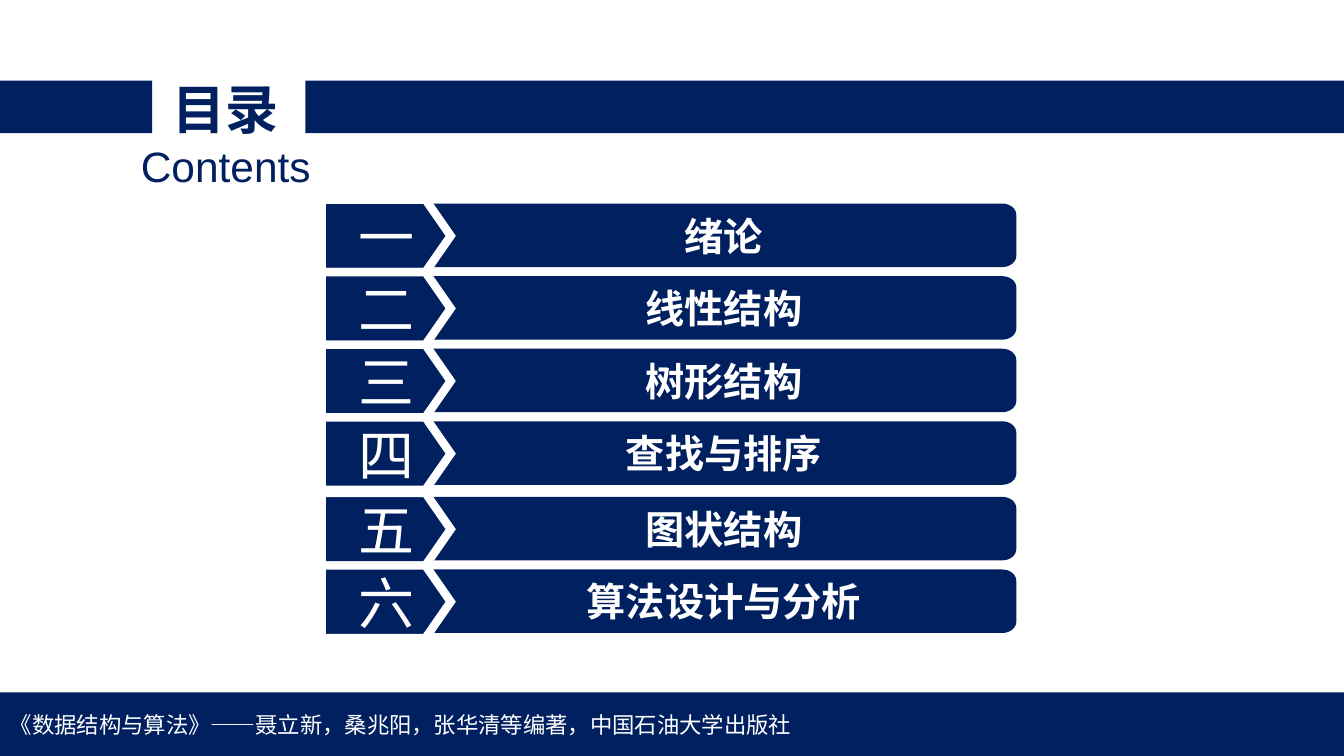
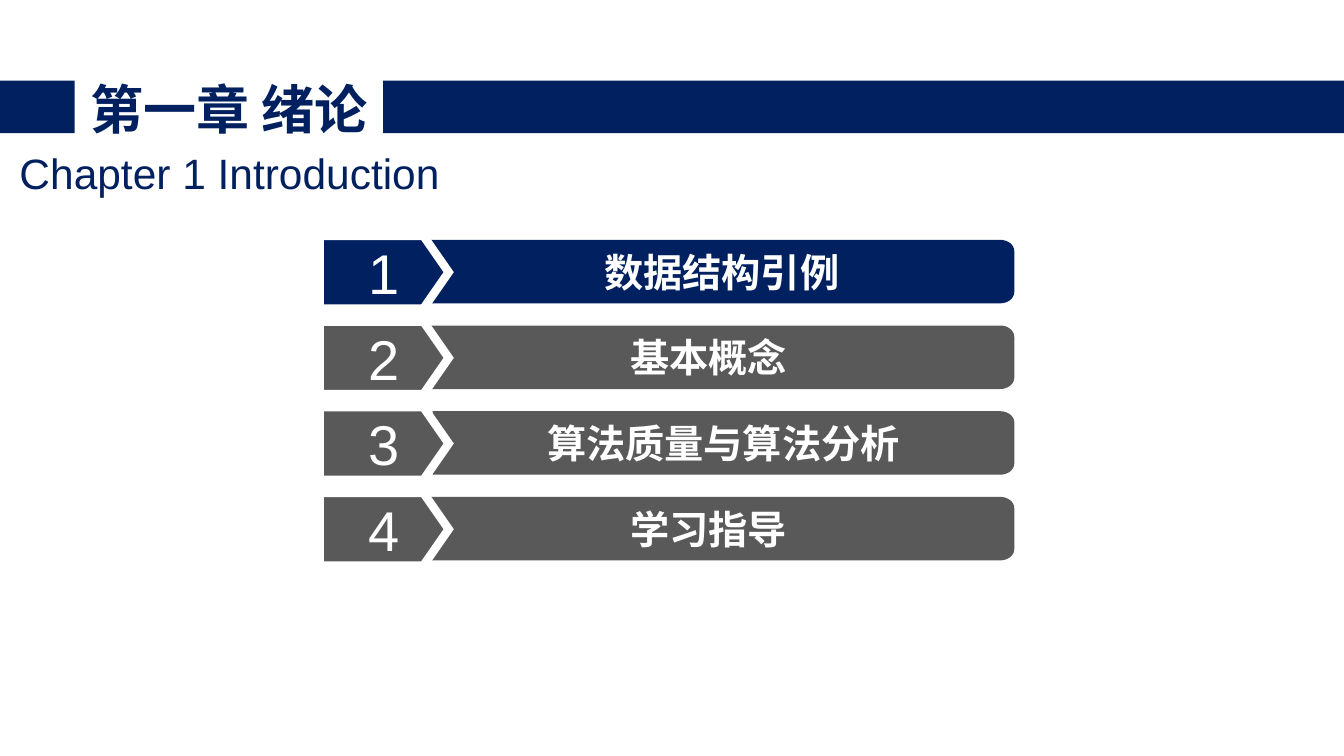
from math import cos, pi, sin

from pptx import Presentation
from pptx.dml.color import RGBColor
from pptx.enum.shapes import MSO_SHAPE as Preset
from pptx.enum.text import MSO_ANCHOR as Anchor, MSO_AUTO_SIZE as AutoSize, PP_ALIGN as Align
from pptx.oxml import parse_xml
from pptx.oxml.ns import nsdecls, qn
from pptx.util import Inches, Pt

WIDTH, HEIGHT = 13.33, 7.5
COLORS = {"navy": "002060", "gray": "595959", "white": "FFFFFF"}
BAND_TOP, BAND_HEIGHT = 0.8, 0.52
TITLE_TOP, TITLE_HEIGHT = 0.75, 0.64
FOOTER_HEIGHT = 0.63
TAG_WIDTH, TAG_HEIGHT, TAG_HEAD = 1.28, 0.72, 0.25
ROW_WIDTH, BAR_HEIGHT, BAR_DROP = 6.89, 0.63, 0.04
CORNER_WIDTH, CORNER_HEIGHT, CORNER_STEPS = 0.14, 0.11, 8


def color(name):
    return RGBColor.from_string(COLORS[name])


def inches(*lengths):
    return [Inches(length) for length in lengths]


def write(shape, text, size, ink="white", bold=False, font="Arial",
          align=Align.CENTER, anchor=Anchor.MIDDLE, insets=(0, 0, 0, 0)):
    """Put one styled run in the shape; insets run left, top, right, bottom."""
    frame = shape.text_frame
    frame.word_wrap = True
    frame.auto_size = AutoSize.NONE
    frame.vertical_anchor = anchor
    (frame.margin_left, frame.margin_top,
     frame.margin_right, frame.margin_bottom) = inches(*insets)
    paragraph = frame.paragraphs[0]
    paragraph.alignment = align
    run = paragraph.add_run()
    run.text = text
    run.font.name, run.font.size, run.font.bold = font, Pt(size), bold
    run.font.color.rgb = color(ink)


def paint(shape, fill):
    shape.shadow.inherit = False
    shape.fill.solid()
    shape.fill.fore_color.rgb = color(fill)
    shape.line.fill.background()
    return shape


def add_band(slide, left, top, width, height):
    return paint(slide.shapes.add_shape(
        Preset.RECTANGLE, *inches(left, top, width, height)), "navy")


def add_header(slide, gap, title, title_box, subtitle, subtitle_box):
    """Split the band at gap, and set title (left, width) and subtitle (left, top, width)."""
    start, end = gap
    add_band(slide, 0, BAND_TOP, start, BAND_HEIGHT)
    add_band(slide, end, BAND_TOP, WIDTH - end, BAND_HEIGHT)
    heading = slide.shapes.title
    heading.left, heading.width = inches(*title_box)
    heading.top, heading.height = inches(TITLE_TOP, TITLE_HEIGHT)
    write(heading, title, 37.9, "navy", bold=True)
    caption = slide.shapes.add_textbox(*inches(*subtitle_box, 0.51))
    write(caption, subtitle, 30.3, "navy", anchor=Anchor.TOP)


def add_footer(slide, text):
    footer = add_band(slide, 0, HEIGHT - FOOTER_HEIGHT, WIDTH, FOOTER_HEIGHT)
    write(footer, text, 16, font="Times New Roman", align=Align.LEFT,
          insets=(0.1, 0.05, 0.1, 0.05))


def add_bar(slide, left, top, right, text, fill):
    """Bar with square corners on the left and rounded ones on the right."""
    bottom = top + BAR_HEIGHT
    turns = [pi / 2 * step / CORNER_STEPS for step in range(CORNER_STEPS + 1)]
    corner = [(right - CORNER_WIDTH * (1 - sin(turn)), CORNER_HEIGHT * (1 - cos(turn)))
              for turn in turns]
    points = [(x, top + y) for x, y in corner]
    points += [(x, bottom - y) for x, y in reversed(corner)]
    points.append((left, bottom))
    builder = slide.shapes.build_freeform(*inches(left, top))
    builder.add_line_segments([inches(*point) for point in points], close=True)
    write(paint(builder.convert_to_shape(), fill), text, 28, bold=True)


def add_tag(slide, left, top, text, fill):
    tag = paint(slide.shapes.add_shape(
        Preset.PENTAGON, *inches(left, top, TAG_WIDTH, TAG_HEIGHT)), fill)
    tag.adjustments[0] = TAG_HEAD / TAG_HEIGHT
    tag.line.color.rgb = color("white")
    tag.line.width = Pt(6)
    outline = tag._element.spPr.find(qn("a:ln"))
    outline.append(parse_xml(f'<a:miter {nsdecls("a")} lim="800000"/>'))
    write(tag, text, 40, insets=(TAG_HEAD / 2, 0, 0, 0))


def add_rows(slide, left, top, pitch, rows):
    """Stack rows of (number, text, fill, bar indent) at an equal pitch."""
    for index, (number, text, fill, indent) in enumerate(rows):
        row_top = top + index * pitch
        add_bar(slide, left + indent, row_top + BAR_DROP, left + ROW_WIDTH, text, fill)
        add_tag(slide, left, row_top, number, fill)


def build_contents(slide):
    add_header(slide, (1.51, 3.03), "目录", (1.65, 1.18), "Contents", (0.89, 1.39, 2.7))
    chapters = ["绪论", "线性结构", "树形结构", "查找与排序", "图状结构", "算法设计与分析"]
    rows = [(number, text, "navy", 1.09) for number, text in zip("一二三四五六", chapters)]
    add_rows(slide, 3.19, 1.98, TAG_HEIGHT, rows[:4])
    add_rows(slide, 3.19, 4.89, TAG_HEIGHT, rows[4:])
    add_footer(slide, "《数据结构与算法》——聂立新，桑兆阳，张华清等编著，中国石油大学出版社")


def build_chapter(slide):
    add_header(slide, (0.74, 3.8), "第一章 绪论", (0.83, 2.89),
               "Chapter 1 Introduction", (0.03, 1.46, 4.5))
    add_rows(slide, 3.17, 2.34, 0.85, [
        ("1", "数据结构引例", "navy", 1.09),
        ("2", "基本概念", "gray", 0.83),
        ("3", "算法质量与算法分析", "gray", 1.12),
        ("4", "学习指导", "gray", 0.83),
    ])


def main():
    presentation = Presentation()
    presentation.slide_width, presentation.slide_height = inches(WIDTH, HEIGHT)
    title_only = presentation.slide_layouts[5]
    for build in (build_contents, build_chapter):
        build(presentation.slides.add_slide(title_only))
    presentation.save("out.pptx")


if __name__ == "__main__":
    main()
